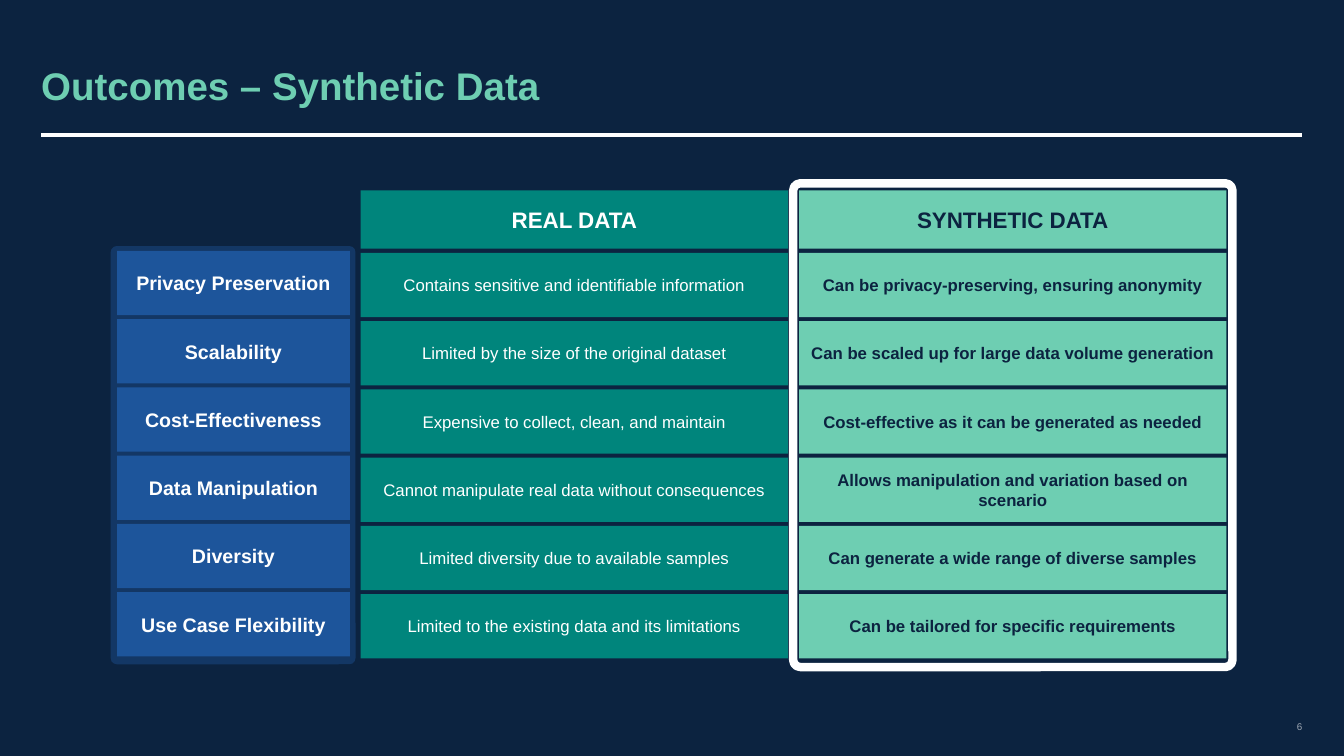
from dataclasses import dataclass

from pptx import Presentation
from pptx.dml.color import RGBColor
from pptx.enum.shapes import MSO_CONNECTOR, MSO_SHAPE
from pptx.enum.text import MSO_ANCHOR, PP_ALIGN
from pptx.oxml.ns import qn
from pptx.shapes.autoshape import Shape
from pptx.slide import Slide
from pptx.util import Cm, Pt
from lxml.etree import SubElement

COLORS = {
    "navy": "0C2340",
    "white": "FFFFFF",
    "mint": "6ECEB2",
    "teal": "00857C",
    "blue": "1D559B",
    "panel": "133765",
    "gray": "9EA7B3",
}
FONT = "Arial"
HEADER_TOP, HEADER_HEIGHT = 4.8, 1.47
ROW_HEIGHT, ROW_PITCH = 1.62, 1.72


@dataclass(frozen=True)
class Box:
    """Position and size in centimetres."""
    left: float
    top: float
    width: float
    height: float

    def lengths(self) -> tuple[Cm, Cm, Cm, Cm]:
        return Cm(self.left), Cm(self.top), Cm(self.width), Cm(self.height)


@dataclass(frozen=True)
class TextStyle:
    size: float
    color: str
    bold: bool = False
    align: PP_ALIGN = PP_ALIGN.CENTER


@dataclass(frozen=True)
class Column:
    left: float
    width: float
    rows_top: float
    fill: str
    style: TextStyle
    rows: tuple[str, ...]
    header: str = ""


CRITERIA = Column(
    2.95, 5.87, 6.32, "blue", TextStyle(14, "white", True),
    ("Privacy Preservation", "Scalability", "Cost-Effectiveness",
     "Data Manipulation", "Diversity", "Use Case Flexibility"),
)
REAL_DATA = Column(
    9.09, 10.77, 6.37, "teal", TextStyle(12, "white"),
    ("Contains sensitive and identifiable information",
     "Limited by the size of the original dataset",
     "Expensive to collect, clean, and maintain",
     "Cannot manipulate real data without consequences",
     "Limited diversity due to available samples",
     "Limited to the existing data and its limitations"),
    "REAL DATA",
)
SYNTHETIC_DATA = Column(
    20.14, 10.77, 6.37, "mint", TextStyle(12, "navy", True),
    ("Can be privacy-preserving, ensuring anonymity",
     "Can be scaled up for large data volume generation",
     "Cost-effective as it can be generated as needed",
     "Allows manipulation and variation based on scenario",
     "Can generate a wide range of diverse samples",
     "Can be tailored for specific requirements"),
    "SYNTHETIC DATA",
)


def rgb(name: str) -> RGBColor:
    return RGBColor.from_string(COLORS[name])


def write_text(shape: Shape, text: str, style: TextStyle) -> None:
    frame = shape.text_frame
    frame.word_wrap = True
    frame.vertical_anchor = MSO_ANCHOR.MIDDLE
    paragraph = frame.paragraphs[0]
    paragraph.alignment = style.align
    run = paragraph.add_run()
    run.text = text
    run.font.name = FONT
    run.font.size = Pt(style.size)
    run.font.bold = style.bold
    run.font.color.rgb = rgb(style.color)


def add_label(slide: Slide, box: Box, text: str, style: TextStyle) -> None:
    """Add a text box without margins."""
    shape = slide.shapes.add_textbox(*box.lengths())
    frame = shape.text_frame
    frame.margin_left = frame.margin_right = 0
    frame.margin_top = frame.margin_bottom = 0
    write_text(shape, text, style)
    if style.size > 20:
        frame.paragraphs[0].line_spacing = 0.9


def add_cell(slide: Slide, box: Box, fill: str, text: str, style: TextStyle) -> None:
    shape = slide.shapes.add_shape(MSO_SHAPE.RECTANGLE, *box.lengths())
    shape.shadow.inherit = False
    shape.fill.solid()
    shape.fill.fore_color.rgb = rgb(fill)
    shape.line.fill.background()
    write_text(shape, text, style)


def add_rounded(slide: Slide, box: Box, rounding: float) -> Shape:
    shape = slide.shapes.add_shape(MSO_SHAPE.ROUNDED_RECTANGLE, *box.lengths())
    shape.adjustments[0] = rounding
    shape.shadow.inherit = False
    return shape


def add_column(slide: Slide, column: Column) -> None:
    if column.header:
        header_box = Box(column.left, HEADER_TOP, column.width, HEADER_HEIGHT)
        header_style = TextStyle(16, column.style.color, True)
        add_cell(slide, header_box, column.fill, column.header, header_style)
    for index, text in enumerate(column.rows):
        top = column.rows_top + index * ROW_PITCH
        box = Box(column.left, top, column.width, ROW_HEIGHT)
        add_cell(slide, box, column.fill, text, column.style)


def add_title_rule(slide: Slide) -> None:
    rule = slide.shapes.add_connector(
        MSO_CONNECTOR.STRAIGHT, Cm(1.04), Cm(3.4), Cm(32.82), Cm(3.4))
    rule.line.color.rgb = rgb("white")
    rule.line.width = Pt(2.5)
    SubElement(rule._element.spPr, qn("a:effectLst"))


def main() -> None:
    presentation = Presentation()
    presentation.slide_width = Cm(33.87)
    presentation.slide_height = Cm(19.05)
    slide = presentation.slides.add_slide(presentation.slide_layouts[6])
    slide.background.fill.solid()
    slide.background.fill.fore_color.rgb = rgb("navy")

    add_title_rule(slide)
    add_label(slide, Box(1.04, 1.04, 31.78, 2.36), "Outcomes – Synthetic Data",
              TextStyle(27.5, "mint", True, PP_ALIGN.LEFT))
    add_label(slide, Box(32.18, 18.01, 0.64, 0.61), "6",
              TextStyle(7, "gray", align=PP_ALIGN.RIGHT))

    add_column(slide, REAL_DATA)

    highlight = add_rounded(slide, Box(19.99, 4.62, 11.07, 12.19), 0.016)
    highlight.fill.background()
    highlight.line.color.rgb = rgb("white")
    highlight.line.width = Pt(6)

    criteria_panel = add_rounded(slide, Box(2.79, 6.2, 6.17, 10.54), 0.025)
    criteria_panel.fill.solid()
    criteria_panel.fill.fore_color.rgb = rgb("panel")
    criteria_panel.line.fill.background()

    add_column(slide, CRITERIA)
    add_column(slide, SYNTHETIC_DATA)
    presentation.save("out.pptx")


if __name__ == "__main__":
    main()
